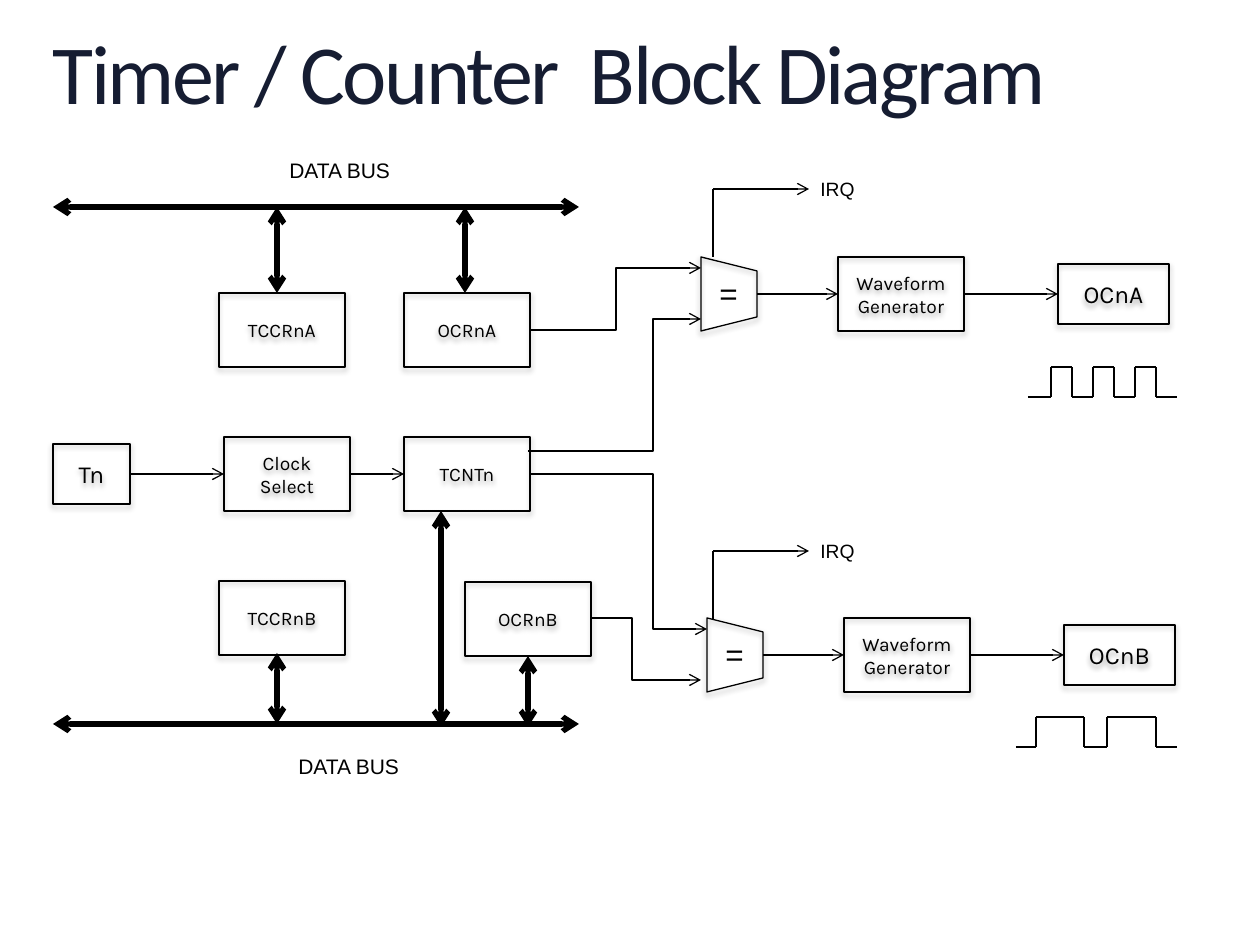
from lxml import etree
from pptx import Presentation
from pptx.dml.color import RGBColor
from pptx.enum.shapes import MSO_CONNECTOR, MSO_SHAPE
from pptx.enum.text import MSO_ANCHOR, MSO_AUTO_SIZE, PP_ALIGN
from pptx.oxml.ns import qn
from pptx.util import Pt

RECT, TRAP = MSO_SHAPE.RECTANGLE, MSO_SHAPE.TRAPEZOID
STRAIGHT, ELBOW = MSO_CONNECTOR.STRAIGHT, MSO_CONNECTOR.ELBOW
MIDDLE, CENTER = MSO_ANCHOR.MIDDLE, PP_ALIGN.CENTER
GROW = MSO_AUTO_SIZE.SHAPE_TO_FIT_TEXT
SCALE = 914400 / 126
BLACK, NAVY = "000000", "161D32"
BOTTOM, LEFT, RIGHT = 2, 1, 3


def px(*vals):
    return [round(v * SCALE) for v in vals]


def color(code):
    return RGBColor.from_string(code)


def write(para, text, size, face, code=BLACK):
    run = para.add_run()
    run.text = text
    run.font.size = Pt(size)
    run.font.name = face
    run.font.color.rgb = color(code)
    return run


def label(slide, box, text, size):
    frame = slide.shapes.add_textbox(*px(*box)).text_frame
    frame.word_wrap = False
    frame.auto_size = GROW
    write(frame.paragraphs[0], text, size, "Arial")


def title(slide, box, text):
    frame = slide.shapes.add_textbox(*px(*box)).text_frame
    frame.word_wrap = True
    frame.margin_left = frame.margin_right = 0
    frame.margin_top = frame.margin_bottom = 0
    para = frame.paragraphs[0]
    para.line_spacing = 0.9
    run = write(para, text, 48, "Calibri", NAVY)
    run.font._element.set("spc", "-150")


def shade(shape):
    # Soft shadow straight below
    shape.shadow.inherit = False
    effects = shape._element.spPr.find(qn("a:effectLst"))
    outer = etree.SubElement(effects, qn("a:outerShdw"), blurRad="40000",
                             dist="23000", dir="5400000", rotWithShape="0")
    tone = etree.SubElement(outer, qn("a:srgbClr"), val=BLACK)
    etree.SubElement(tone, qn("a:alpha"), val="35000")


def block(slide, box, lines=(), size=11, kind=RECT):
    shape = slide.shapes.add_shape(kind, *px(*box))
    shape.fill.background()
    shape.line.color.rgb = color(BLACK)
    shape.line.width = Pt(0.75)
    shade(shape)
    frame = shape.text_frame
    frame.word_wrap = True
    frame.vertical_anchor = MIDDLE
    for i, text in enumerate(lines):
        para = frame.add_paragraph() if i else frame.paragraphs[0]
        para.alignment = CENTER
        write(para, text, size, "Karla")
    return shape


def wire(slide, ends, width=0.75, heads=(), kind=STRAIGHT):
    link = slide.shapes.add_connector(kind, *px(*ends))
    link.line.color.rgb = color(BLACK)
    link.line.width = Pt(width)
    line = link.line._get_or_add_ln()
    for tag in heads:
        etree.SubElement(line, qn(tag), type="arrow")
    etree.SubElement(link._element.spPr, qn("a:effectLst"))
    return link


def arrow(slide, ends, start=None, stop=None):
    link = wire(slide, ends, heads=["a:tailEnd"])
    if start:
        link.begin_connect(start, RIGHT)
    if stop:
        link.end_connect(stop, LEFT)


def bend(slide, ends, turn):
    # Elbow whose upright part stands at x = turn
    link = wire(slide, ends, heads=["a:tailEnd"], kind=ELBOW)
    ratio = round((turn - ends[0]) / (ends[2] - ends[0]) * 100000)
    geom = link._element.spPr.find(qn("a:prstGeom"))
    guides = geom.find(qn("a:avLst"))
    if guides is None:
        guides = etree.SubElement(geom, qn("a:avLst"))
    etree.SubElement(guides, qn("a:gd"), name="adj1", fmla=f"val {ratio}")


def bus(slide, ends):
    return wire(slide, ends, 3, ["a:headEnd", "a:tailEnd"])


def irq(slide, x, y):
    wire(slide, (x, y + 68, x, y))
    arrow(slide, (x, y, x + 96, y))
    label(slide, (x + 95, y - 18, 60, 37), "IRQ", 11)


def channel(slide, x, y, name):
    # Comparator, waveform generator and output pin
    mid = y + 37
    comp = block(slide, (x - 9, mid - 28, 74, 56), kind=TRAP)
    comp.rotation = 90
    label(slide, (x + 6, y + 11, 44, 50), "=", 18)
    wave = block(slide, (x + 137, y, 126, 74), ["Waveform", "Generator"])
    pin = block(slide, (x + 357, y + 7, 111, 60), [name], 14)
    arrow(slide, (x + 56, mid, x + 137, mid), stop=wave)
    arrow(slide, (x + 263, mid, x + 357, mid), wave, pin)


def pulse(slide, edges, top, base):
    # Square signal that changes level at each inner edge
    spans = list(zip(edges, edges[1:]))
    for i, (x1, x2) in enumerate(spans):
        level = top if i % 2 else base
        wire(slide, (x1, level, x2, level))
        if i:
            wire(slide, (x1, base, x1, top))


def core(slide):
    # Registers and clock path
    cells = {}
    for x, y, text in [(219, 293, "TCCRnA"), (404, 293, "OCRnA"),
                       (224, 437, "Clock Select"), (404, 437, "TCNTn"),
                       (219, 581, "TCCRnB"), (465, 582, "OCRnB")]:
        cells[text] = block(slide, (x, y, 126, 74), text.split())
    pin = block(slide, (53, 444, 77, 60), ["Tn"], 14)
    clock = cells["Clock Select"]
    arrow(slide, (130, 474, 224, 474), pin, clock)
    arrow(slide, (350, 474, 404, 474), clock, cells["TCNTn"])

    # Data buses and their branches
    for y in (207, 724):
        bus(slide, (53, y, 579, y))
    label(slide, (277, 151, 127, 38), "DATA BUS", 12)
    label(slide, (286, 747, 127, 38), "DATA BUS", 12)
    for x, y1, y2 in [(277, 207, 293), (465, 207, 293),
                      (277, 653, 724), (441, 511, 727)]:
        bus(slide, (x, y1, x, y2))
    bus(slide, (528, 656, 528, 727)).begin_connect(cells["OCRnB"], BOTTOM)


def main():
    deck = Presentation()
    deck.slide_width, deck.slide_height = px(1260, 945)
    slide = deck.slides.add_slide(deck.slide_layouts[6])
    title(slide, (53, 32, 1155, 92), "Timer / Counter  Block Diagram")
    core(slide)

    # Compare channels
    channel(slide, 701, 257, "OCnA")
    channel(slide, 707, 618, "OCnB")
    for y in (189, 551):
        irq(slide, 713, y)

    # Comparator inputs
    bend(slide, (530, 330, 701, 268), 616)
    bend(slide, (528, 451, 701, 319), 653)
    bend(slide, (530, 474, 707, 629), 653)
    bend(slide, (591, 618, 701, 680), 632)

    # Output signals
    pulse(slide, [1028, *range(1051, 1178, 21)], 367, 397)
    pulse(slide, [1016, 1036, 1084, 1107, 1156, 1177], 717, 747)
    deck.save("out.pptx")


if __name__ == "__main__":
    main()
